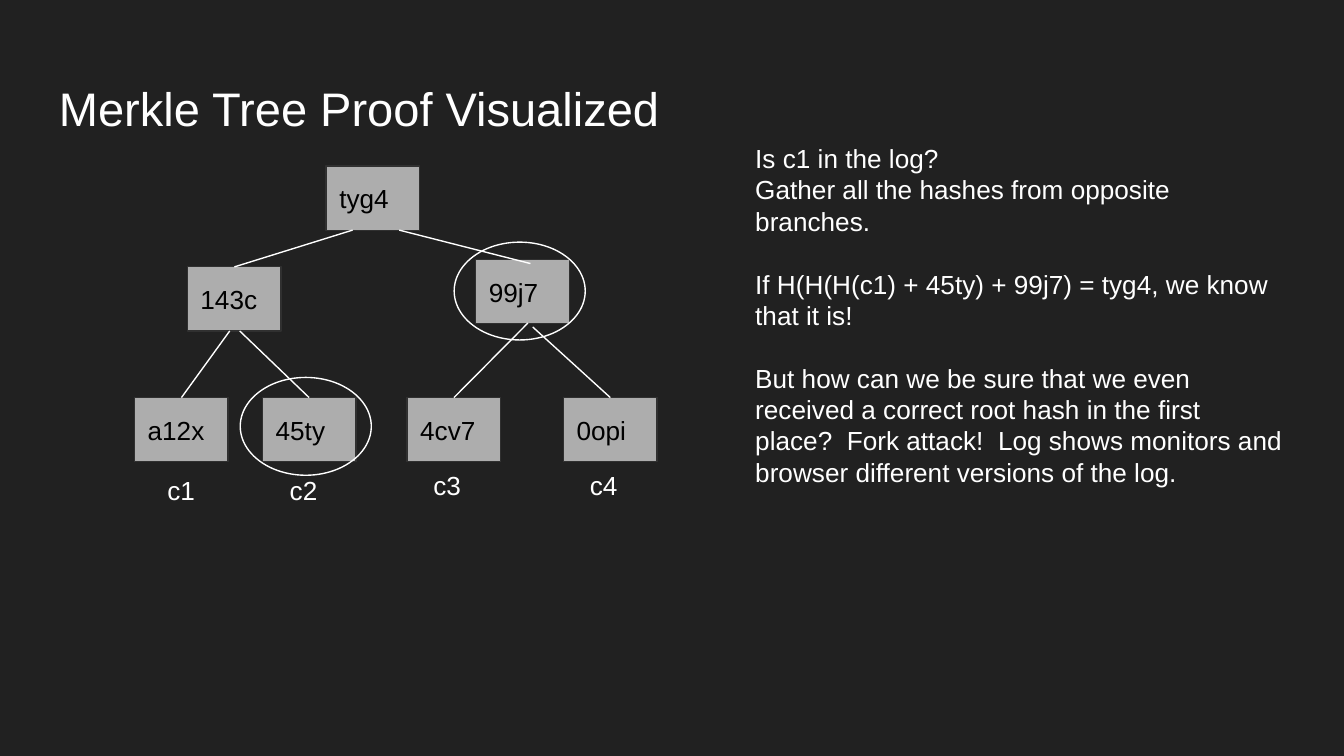
from pptx import Presentation
from pptx.dml.color import RGBColor
from pptx.enum.shapes import MSO_CONNECTOR, MSO_SHAPE
from pptx.enum.text import MSO_ANCHOR
from pptx.oxml.ns import qn
from pptx.util import Pt
from lxml import etree

COLORS = {"background": "212121", "node": "ADADAD", "border": "303030",
          "light": "FFFFFF", "dark": "000000"}
FONT = "Arial"
BODY_SIZE = 14
LINE_WIDTH = 0.75
INSET = 7.2
LINE_HEIGHT = 16.8

TITLE = "Merkle Tree Proof Visualized"
# Paragraph text and the number of lines left free above it
EXPLANATION = [
    ("Is c1 in the log?", 0),
    ("Gather all the hashes from opposite branches.", 0),
    ("If H(H(H(c1) + 45ty) + 99j7) = tyg4, we know that it is!", 1),
    ("But how can we be sure that we even received a correct root hash in the "
     "first place?  Fork attack!  Log shows monitors and browser different "
     "versions of the log.", 1),
]

NODE_WIDTH, NODE_HEIGHT = 50.2, 34.4
LEAF_TOP = 213
NODES = {  # hash: left, top
    "a12x": (72, LEAF_TOP), "45ty": (140.6, LEAF_TOP),
    "4cv7": (218, LEAF_TOP), "0opi": (301.8, LEAF_TOP),
    "143c": (100.3, 142.9), "99j7": (254.8, 139),
    "tyg4": (174.7, 89),
}
LEAF_LABELS = {"c1": (82.6, 247), "c2": (148.1, 247),
               "c3": (225.1, 244.5), "c4": (308.9, 244.5)}
BRANCHES = [  # child end, parent end
    ((97.2, 213), (123.1, 177.3)),
    ((165.6, 213), (128.4, 177.3)),
    ((243.2, 213), (282.8, 173.1)),
    ((327, 213), (285.4, 175.2)),
    ((125.6, 143), (188.9, 123.3)),
    ((284.2, 141.2), (213.9, 123.3)),
]
RING_WIDTH, RING_HEIGHT = 70.2, 52.4
PROOF_RINGS = [(128.7, 202.2), (243.3, 129.7)]


def color(name):
    return RGBColor.from_string(COLORS[name])


def write(shape, paragraphs, size, ink, anchor=MSO_ANCHOR.TOP):
    """Fill a shape with (text, free lines above) paragraphs."""
    frame = shape.text_frame
    frame.word_wrap = True
    frame.vertical_anchor = anchor
    frame.margin_left = frame.margin_right = Pt(INSET)
    frame.margin_top = frame.margin_bottom = Pt(INSET)
    frame.text = "\n".join(text for text, _ in paragraphs)
    for para, (_, gap) in zip(frame.paragraphs, paragraphs):
        para.alignment = 1
        para.space_before = Pt(gap * LINE_HEIGHT)
        for span in para.runs:
            span.font.name = FONT
            span.font.size = Pt(size)
            span.font.color.rgb = color(ink)


def add_text(page, bounds, paragraphs, size=BODY_SIZE):
    box = page.shapes.add_textbox(*map(Pt, bounds))
    write(box, paragraphs, size, "light")


def add_outlined(page, kind, bounds, outline):
    shape = page.shapes.add_shape(kind, *map(Pt, bounds))
    shape.shadow.inherit = False
    shape.line.color.rgb = color(outline)
    shape.line.width = Pt(LINE_WIDTH)
    return shape


def add_node(page, label, left, top):
    bounds = (left, top, NODE_WIDTH, NODE_HEIGHT)
    node = add_outlined(page, MSO_SHAPE.RECTANGLE, bounds, "border")
    node.fill.solid()
    node.fill.fore_color.rgb = color("node")
    write(node, [(label, 0)], BODY_SIZE, "dark", MSO_ANCHOR.MIDDLE)


def add_branch(page, child, parent):
    branch = page.shapes.add_connector(
        MSO_CONNECTOR.STRAIGHT, *map(Pt, child + parent))
    branch.line.color.rgb = color("light")
    branch.line.width = Pt(LINE_WIDTH)
    etree.SubElement(branch._element.spPr, qn("a:effectLst"))


def main():
    deck = Presentation()
    deck.slide_width, deck.slide_height = Pt(720), Pt(405)
    page = deck.slides.add_slide(deck.slide_layouts[6])
    page.background.fill.solid()
    page.background.fill.fore_color.rgb = color("background")

    add_text(page, (24.5, 35.3, 671, 45.4), [(TITLE, 0)], size=25.2)
    for label, (left, top) in NODES.items():
        add_node(page, label, left, top)
    for label, (left, top) in LEAF_LABELS.items():
        add_text(page, (left, top, 36.7, 31.7), [(label, 0)])
    for child, parent in BRANCHES:
        add_branch(page, child, parent)
    add_text(page, (397.5, 69.1, 298, 218.2), EXPLANATION)
    for left, top in PROOF_RINGS:
        bounds = (left, top, RING_WIDTH, RING_HEIGHT)
        ring = add_outlined(page, MSO_SHAPE.OVAL, bounds, "light")
        ring.fill.background()

    deck.save("out.pptx")


if __name__ == "__main__":
    main()
